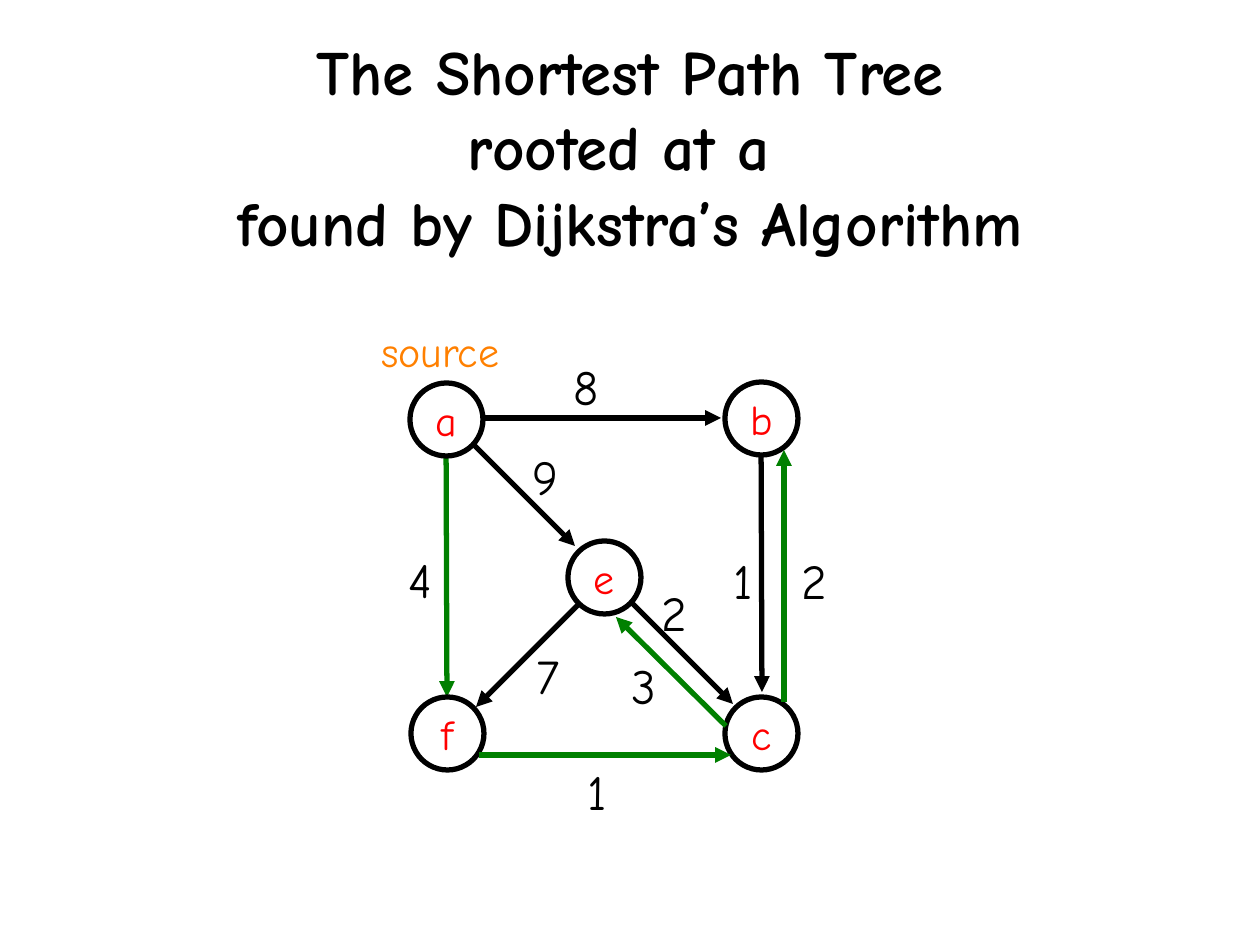
from pptx import Presentation
from pptx.dml.color import RGBColor
from pptx.enum.shapes import MSO_CONNECTOR as CONN, MSO_SHAPE as SHAPE
from pptx.enum.text import MSO_ANCHOR as ANCHOR, PP_ALIGN as ALIGN
from pptx.oxml.ns import qn
from pptx.util import Pt
from lxml.etree import SubElement

PX = 914400 / 126
BLACK, RED, GREEN, ORANGE = "000000", "FF0000", "008000", "FF8000"


def emu(*px):
    return [round(v * PX) for v in px]


def style(p, text, size, color, align=ALIGN.LEFT, bold=False):
    p.text = text
    p.alignment = align
    p.font.name = "Comic Neue"
    p.font.size = Pt(size)
    p.font.bold = bold
    p.font.color.rgb = RGBColor.from_string(color)


prs = Presentation()
prs.slide_width, prs.slide_height = emu(1260, 945)
s = prs.slides.add_slide(prs.slide_layouts[6])

title = ["The Shortest Path Tree", "rooted at a ", "found by Dijkstra’s Algorithm"]
tf = s.shapes.add_textbox(*emu(223, 26, 814, 239)).text_frame
tf.word_wrap = True
for i, line in enumerate(title):
    p = tf.add_paragraph() if i else tf.paragraphs[0]
    style(p, line, 36, BLACK, ALIGN.CENTER, True)

edges = [
    (605, 576, 733, 704, BLACK),
    (447, 418, 575, 546, BLACK),
    (607, 576, 476, 707, BLACK),
    (446, 418, 447, 697, GREEN),
    (446, 418, 721, 418, BLACK),
    (761, 418, 762, 692, BLACK),
    (784, 702, 784, 450, GREEN),
    (479, 755, 731, 755, GREEN),
    (726, 726, 616, 617, GREEN),
]
nodes = [
    ("a", 410, 383),
    ("b", 725, 382),
    ("c", 725, 697),
    ("e", 568, 541),
    ("f", 411, 697),
]
for x1, y1, x2, y2, color in edges:
    sp = s.shapes.add_connector(CONN.STRAIGHT, *emu(x1, y1, x2, y2))
    sp.line.width = Pt(3)
    sp.line.color.rgb = RGBColor.from_string(color)
    SubElement(sp.line._get_or_add_ln(), qn("a:tailEnd"), type="triangle")
    SubElement(sp._element.spPr, qn("a:effectLst"))
    if (x1, y1) == (761, 418):
        for name, x, y in nodes:
            sp = s.shapes.add_shape(SHAPE.OVAL, *emu(x, y, 73, 73))
            sp.shadow.inherit = False
            sp.fill.solid()
            sp.fill.fore_color.rgb = RGBColor.from_string("FFFFFF")
            sp.line.color.rgb = RGBColor.from_string(BLACK)
            sp.line.width = Pt(3)
            tf = sp.text_frame
            tf.margin_left = tf.margin_right = tf.margin_top = tf.margin_bottom = 0
            tf.vertical_anchor = ANCHOR.MIDDLE
            style(tf.paragraphs[0], name, 24, RED, ALIGN.CENTER)

labels = [
    ("8", 561, 350, 50, 28, BLACK),
    ("4", 396, 543, 50, 28, BLACK),
    ("9", 520, 440, 50, 28, BLACK),
    ("7", 524, 639, 50, 28, BLACK),
    ("2", 649, 576, 50, 28, BLACK),
    ("1", 575, 755, 50, 28, BLACK),
    ("3", 619, 649, 50, 28, BLACK),
    ("1", 721, 544, 50, 28, BLACK),
    ("2", 789, 544, 50, 28, BLACK),
    ("source", 369, 319, 150, 24, ORANGE),
]
for text, x, y, w, size, color in labels:
    tf = s.shapes.add_textbox(*emu(x, y, w, 72)).text_frame
    tf.word_wrap = True
    style(tf.paragraphs[0], text, size, color)

prs.save("out.pptx")
